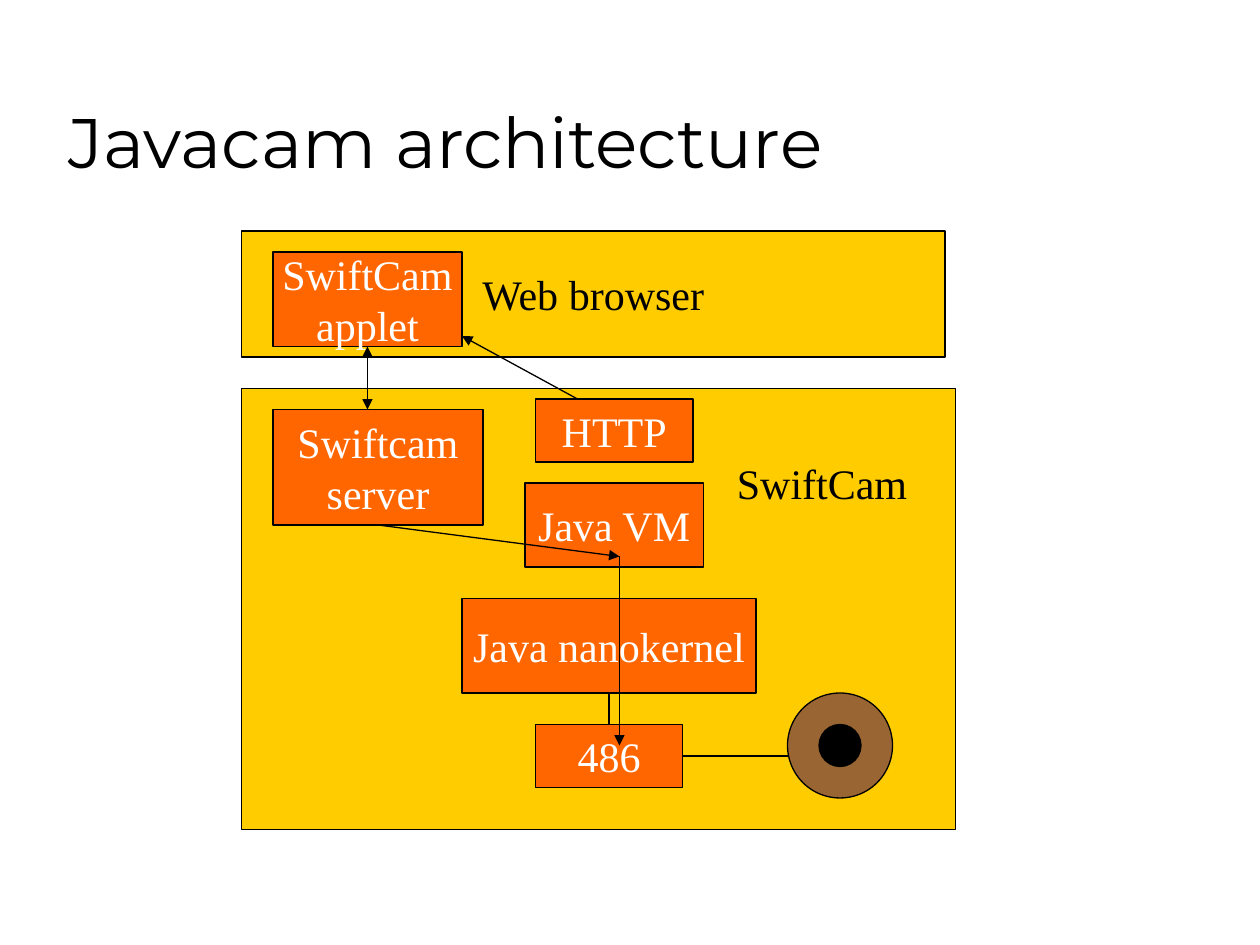
from collections import namedtuple
from dataclasses import dataclass

from lxml import etree
from pptx import Presentation
from pptx.dml.color import RGBColor
from pptx.enum import shapes, text
from pptx.oxml import ns
from pptx.util import Pt

Box = namedtuple("Box", "left top width height")


@dataclass(frozen=True)
class Theme:
    black: RGBColor = RGBColor(0, 0, 0)
    white: RGBColor = RGBColor(255, 255, 255)
    panel: RGBColor = RGBColor(0xFF, 0xCC, 0x00)
    component: RGBColor = RGBColor(0xFF, 0x66, 0x00)
    lens: RGBColor = RGBColor(0x99, 0x66, 0x33)
    title_font: str = "Montserrat"
    body_font: str = "Times New Roman"
    title_size: int = 40
    body_size: int = 24
    line_width: float = 0.75


THEME = Theme()
RECTANGLE = shapes.MSO_SHAPE.RECTANGLE
OVAL = shapes.MSO_SHAPE.OVAL
BOTTOM, RIGHT, TOP = 2, 3, 0


def inside(box, left, top, width, height):
    """Turn offsets from a box's corner into a box on the slide."""
    return Box(box.left + left, box.top + top, width, height)


def write(shape, lines, color, align, font=THEME.body_font, size=THEME.body_size):
    frame = shape.text_frame
    frame.text = "\n".join(lines)
    for paragraph in frame.paragraphs:
        paragraph.alignment = align
        paragraph.font.name = font
        paragraph.font.size = Pt(size)
        paragraph.font.color.rgb = color


def add_text(slide, box, line, **style):
    shape = slide.shapes.add_textbox(*map(Pt, box))
    write(shape, [line], THEME.black, text.PP_ALIGN.LEFT, **style)
    return shape


def add_figure(slide, kind, box, fill, lines=(), color=THEME.white):
    shape = slide.shapes.add_shape(kind, *map(Pt, box))
    shape.shadow.inherit = False
    shape.fill.solid()
    shape.fill.fore_color.rgb = fill
    shape.line.color.rgb = THEME.black
    shape.line.width = Pt(THEME.line_width)
    if lines:
        shape.text_frame.word_wrap = False
        shape.text_frame.vertical_anchor = text.MSO_ANCHOR.MIDDLE
        write(shape, lines, color, text.PP_ALIGN.CENTER)
    return shape


def add_component(slide, box, *lines):
    return add_figure(slide, RECTANGLE, box, THEME.component, lines)


def add_line(slide, start, end, arrows=(), begin=None, finish=None):
    """Draw a line; begin and finish are (shape, side) pairs to join."""
    connector = slide.shapes.add_connector(
        shapes.MSO_CONNECTOR.STRAIGHT, *map(Pt, (*start, *end)))
    connector.line.color.rgb = THEME.black
    connector.line.width = Pt(THEME.line_width)
    for arrow in arrows:
        etree.SubElement(connector.line._get_or_add_ln(), ns.qn(f"a:{arrow}"), type="triangle")
    etree.SubElement(connector._element.spPr, ns.qn("a:effectLst"))
    if begin:
        connector.begin_connect(*begin)
    if finish:
        connector.end_connect(*finish)


def add_title(slide, box):
    title = add_text(slide, box, "Javacam architecture",
                     font=THEME.title_font, size=THEME.title_size)
    title.text_frame.word_wrap = True
    title.text_frame.vertical_anchor = text.MSO_ANCHOR.BOTTOM


def add_browser(slide, box):
    """Draw the browser panel and return its applet."""
    add_figure(slide, RECTANGLE, box, THEME.panel, ["Web browser"], THEME.black)
    return add_component(slide, inside(box, 18, 12, 108, 54), "SwiftCam", "applet")


def add_lens(slide, box):
    add_figure(slide, OVAL, box, THEME.lens)
    add_figure(slide, OVAL, inside(box, 18, 18, 24, 24), THEME.black)


def add_camera(slide, box):
    """Draw the camera panel and return its server, kernel and processor."""
    add_figure(slide, RECTANGLE, box, THEME.panel)
    label = add_text(slide, inside(box, 276, 36, 118, 36), "SwiftCam")
    label.text_frame.word_wrap = False
    label.text_frame.auto_size = text.MSO_AUTO_SIZE.SHAPE_TO_FIT_TEXT
    add_lens(slide, inside(box, 312, 174, 60, 60))
    processor = add_component(slide, inside(box, 168, 192, 84, 36), "486")
    kernel = add_component(slide, inside(box, 126, 120, 168, 54), "Java nanokernel")
    add_component(slide, inside(box, 162, 54, 102, 48), "Java VM")
    add_component(slide, inside(box, 168, 6, 90, 36), "HTTP")
    server = add_component(slide, inside(box, 18, 12, 120, 66), "Swiftcam", "server")
    return server, kernel, processor


def add_links(slide, applet, server, kernel, processor):
    add_line(slide, (210, 198), (210, 234), ("headEnd", "tailEnd"), begin=(applet, BOTTOM))
    add_line(slide, (390, 432), (450, 432), begin=(processor, RIGHT))
    add_line(slide, (348, 396), (348, 414), begin=(kernel, BOTTOM), finish=(processor, TOP))
    add_line(slide, (330, 228), (264, 192), ("tailEnd",))
    add_line(slide, (216, 300), (354, 318), ("tailEnd",), begin=(server, BOTTOM))
    add_line(slide, (354, 318), (354, 426), ("tailEnd",))


def main():
    presentation = Presentation()
    presentation.slide_width, presentation.slide_height = Pt(720), Pt(540)
    slide = presentation.slides.add_slide(presentation.slide_layouts[6])
    add_title(slide, Box(32, 18, 612, 90))
    applet = add_browser(slide, Box(138, 132, 402, 72))
    camera_parts = add_camera(slide, Box(138, 222, 408, 252))
    add_links(slide, applet, *camera_parts)
    presentation.save("out.pptx")


if __name__ == "__main__":
    main()
